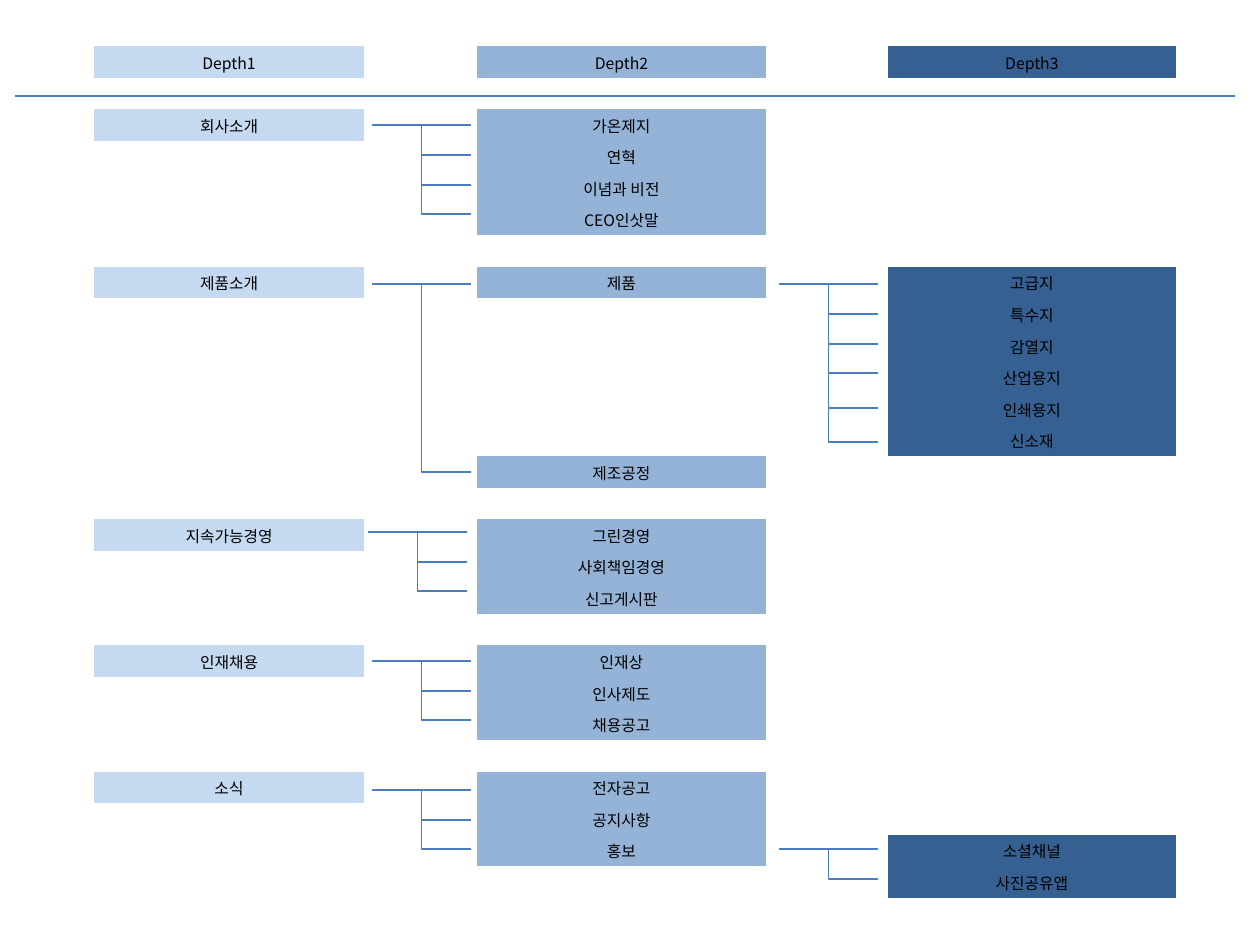
import pptx
import pptx.util
import pptx.dml.color
import pptx.enum.shapes
import pptx.enum.text
import pptx.oxml
import pptx.oxml.ns
import lxml.etree

RGBColor = pptx.dml.color.RGBColor
CONNECTOR = pptx.enum.shapes.MSO_CONNECTOR
qn = pptx.oxml.ns.qn

SCALE = 914400 / 126
FONT = "Noto Sans CJK KR"
BLACK = RGBColor(0x00, 0x00, 0x00)
LIGHT = RGBColor(0xC5, 0xD9, 0xF1)
MEDIUM = RGBColor(0x95, 0xB3, 0xD7)
DARK = RGBColor(0x36, 0x60, 0x92)
LINE = RGBColor(0x4B, 0x7E, 0xBC)
NO_STYLE = "{2D5ABB26-0587-4C30-8999-92F81FD0307C}"

COLUMN_WIDTHS = [270, 113, 289, 122, 288]
ROW_COUNT = 27

# Table column -> (fill, {first row: labels running downwards})
DEPTHS = {
    0: (LIGHT, {
        0: ["Depth1"], 2: ["회사소개"], 7: ["제품소개"],
        15: ["지속가능경영"], 19: ["인재채용"], 23: ["소식"],
    }),
    2: (MEDIUM, {
        0: ["Depth2"],
        2: ["가온제지", "연혁", "이념과 비전", "CEO인삿말"],
        7: ["제품"],
        13: ["제조공정"],
        15: ["그린경영", "사회책임경영", "신고게시판"],
        19: ["인재상", "인사제도", "채용공고"],
        23: ["전자공고", "공지사항", "홍보"],
    }),
    4: (DARK, {
        0: ["Depth3"],
        7: ["고급지", "특수지", "감열지", "산업용지", "인쇄용지", "신소재"],
        25: ["소셜채널", "사진공유앱"],
    }),
}

# Left edge of each bracket and the heights of its branches
BRACKETS = [
    (372, [125, 155, 185, 214]),
    (372, [284, 472]),
    (779, [284, 314, 344, 373, 408, 442]),
    (368, [532, 562, 591]),
    (372, [661, 691, 720]),
    (372, [790, 820, 849]),
    (779, [849, 879]),
]
BRACKET_WIDTH = 99


def px(n):
    """Turn pixels into EMU."""
    return pptx.util.Emu(round(n * SCALE))


def format_cell(cell, text="", fill=None):
    """Give a cell its text, fill, margins and font."""
    cell.margin_left = cell.margin_right = cell.margin_top = px(1)
    cell.margin_bottom = 0
    cell.vertical_anchor = pptx.enum.text.MSO_ANCHOR.MIDDLE
    if fill is None:
        cell.fill.background()
    else:
        cell.fill.solid()
        cell.fill.fore_color.rgb = fill
    cell.text = text
    p = cell.text_frame.paragraphs[0]
    p.alignment = pptx.enum.text.PP_ALIGN.CENTER
    p.font.size = pptx.util.Pt(9)
    p.font.name = FONT
    p.font.color.rgb = BLACK
    props = p._p.pPr.find(qn("a:defRPr"))
    lxml.etree.SubElement(props, qn("a:ea")).set("typeface", FONT)
    if not text:
        lxml.etree.SubElement(p._p, qn("a:endParaRPr")).set("sz", "900")


def add_sitemap(slide, left, top, width, height):
    """Place the three-depth menu table in the given box."""
    table = slide.shapes.add_table(ROW_COUNT, len(COLUMN_WIDTHS), px(left),
                                   px(top), px(width), px(height)).table
    table.first_row = table.horz_banding = False
    table._tbl.tblPr.find(qn("a:tableStyleId")).text = NO_STYLE
    for column, column_width in zip(table.columns, COLUMN_WIDTHS):
        column.width = px(column_width * width / sum(COLUMN_WIDTHS))
    for row in table.rows:
        row.height = px(height / ROW_COUNT)

    entries = {(start + i, column): (label, fill)
               for column, (fill, groups) in DEPTHS.items()
               for start, labels in groups.items()
               for i, label in enumerate(labels)}
    for row in range(ROW_COUNT):
        for column in range(len(COLUMN_WIDTHS)):
            format_cell(table.cell(row, column),
                        *entries.get((row, column), ()))


def add_line(slide, x1, y1, x2, y2, kind=CONNECTOR.STRAIGHT):
    """Draw one thin connector without a shadow."""
    line = slide.shapes.add_connector(kind, px(x1), px(y1), px(x2), px(y2))
    line.line.color.rgb = LINE
    line.line.width = pptx.util.Pt(0.75)
    lxml.etree.SubElement(line._element.spPr, qn("a:effectLst"))


def add_bracket(slide, left, width, heights):
    """Join a menu to its entries with an elbow and side branches."""
    right = left + width
    add_line(slide, left, heights[0], right, heights[-1], CONNECTOR.ELBOW)
    for y in heights[:-1]:
        add_line(slide, left + width / 2, y, right, y)


def build_sitemap_slide(prs):
    """Add the slide with the menu table, its brackets and the header rule."""
    slide = prs.slides.add_slide(prs.slide_layouts[6])
    add_sitemap(slide, 94, 46, 1082, 853)
    add_line(slide, 15, 96, 1235, 96)
    for left, heights in BRACKETS:
        add_bracket(slide, left, BRACKET_WIDTH, heights)


prs = pptx.Presentation()
prs.slide_width = px(1260)
prs.slide_height = px(945)
build_sitemap_slide(prs)
prs.save("out.pptx")
